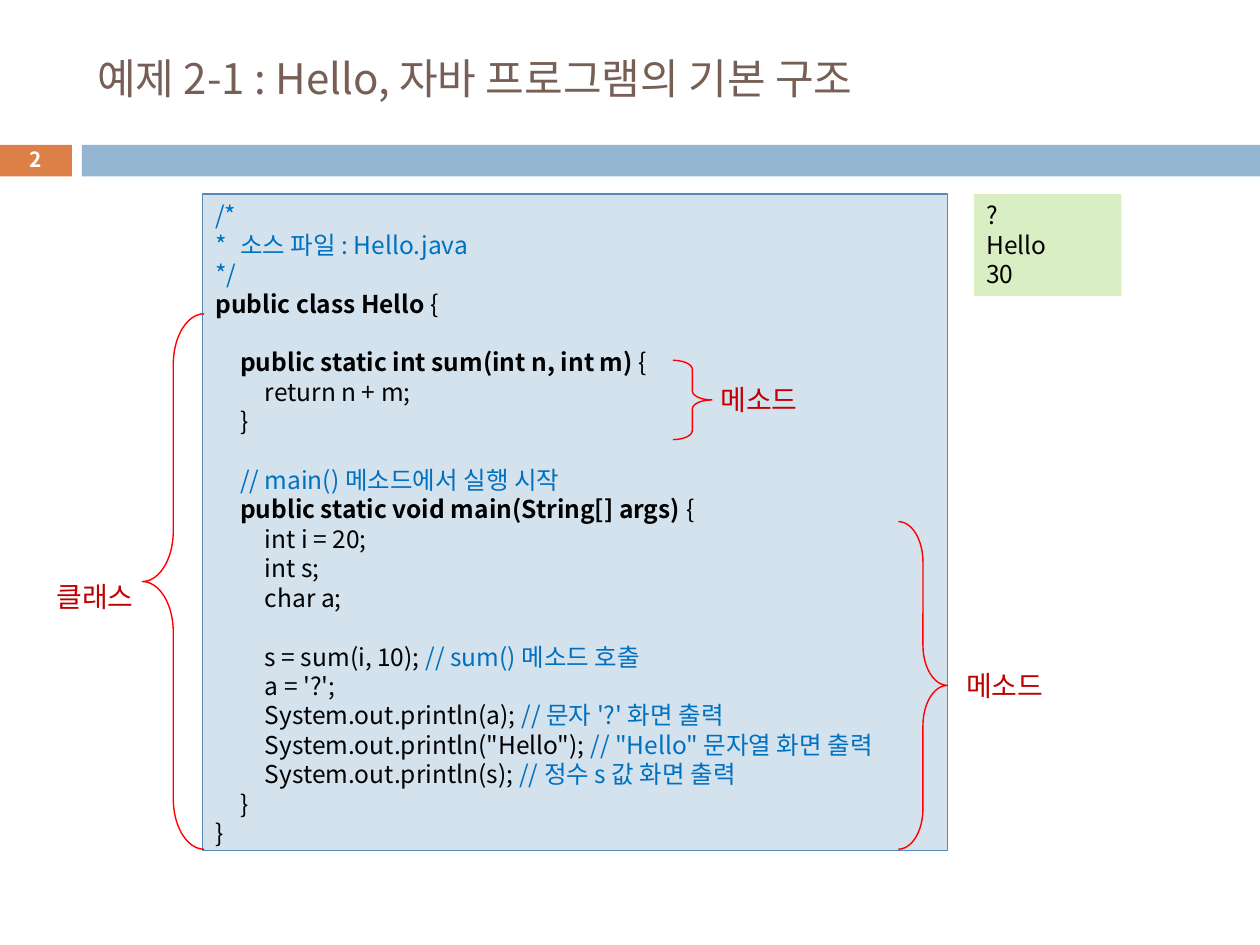
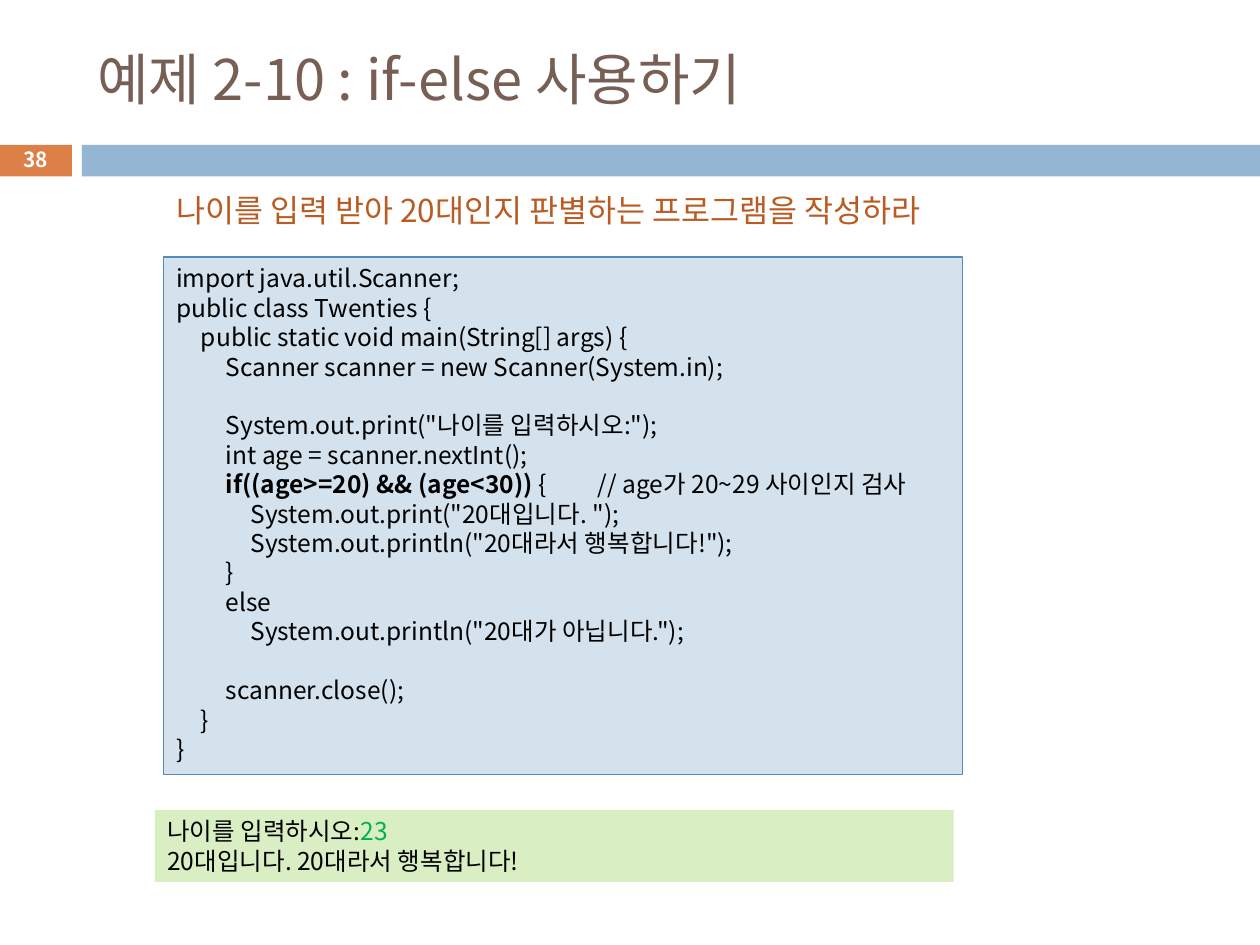
from typing import NamedTuple

from lxml import etree
from pptx import Presentation
from pptx import util as u
from pptx.dml.color import RGBColor
from pptx.enum import shapes, text
from pptx.oxml.ns import qn

FONT = "Noto Sans CJK KR"
COLORS = {
    "title": "775F55", "number_band": "DD8047", "band": "94B6D2",
    "code_fill": "D4E2ED", "code_edge": "558BB8", "result_fill": "DAEEC4",
    "black": "000000", "white": "FFFFFF", "comment": "0070C0",
    "label": "C00000", "brace": "FF0000", "task": "B95B22", "input": "00B050",
}
WIDTH, HEIGHT = u.Inches(10), u.Inches(7.5)
COLUMN, ROW = WIDTH / 100, HEIGHT / 75
TAB_STEP, TAB_COUNT = u.Mm(5), 17
LINE_HEIGHT = 1.2
CODE_SIZE = 14


class Area(NamedTuple):
    column: float
    row: float
    columns: float
    rows: float

    def place(self) -> tuple[int, int, int, int]:
        return (round(self.column * COLUMN), round(self.row * ROW),
                round(self.columns * COLUMN), round(self.rows * ROW))


class Span(NamedTuple):
    words: str
    color: str = "black"
    bold: bool = False


class Line(NamedTuple):
    spans: tuple[Span, ...]
    gap: bool = False


class Panel(NamedTuple):
    area: Area
    lines: list[Line]
    fill: str
    edge: str | None = None


class Label(NamedTuple):
    area: Area
    words: str
    color: str = "label"
    size: float = 16


class Brace(NamedTuple):
    area: Area
    curve: float
    rotation: float = 0


class Page(NamedTuple):
    number: str
    title: str
    title_size: float
    panels: list[Panel]
    labels: list[Label]
    braces: list[Brace]


def line(*spans: str | Span, gap: bool = False) -> Line:
    return Line(tuple(Span(s) if isinstance(s, str) else s for s in spans), gap)


def strong(words: str) -> Span:
    return Span(words, bold=True)


def remark(words: str) -> Span:
    return Span(words, "comment")


def rgb(name: str) -> RGBColor:
    return RGBColor.from_string(COLORS[name])


def format_paragraph(para, size: float, color: str, bold: bool = False) -> None:
    font = para.font
    font.name, font.size, font.bold = FONT, u.Pt(size), bold
    font.color.rgb = rgb(color)
    defaults = para._p.pPr.find(qn("a:defRPr"))
    etree.SubElement(defaults, qn("a:ea")).set("typeface", FONT)


def add_tabs(para) -> None:
    tabs = etree.SubElement(para._p.get_or_add_pPr(), qn("a:tabLst"))
    for step in range(1, TAB_COUNT + 1):
        tab = etree.SubElement(tabs, qn("a:tab"))
        tab.set("pos", str(step * TAB_STEP))
        tab.set("algn", "l")


def write_lines(frame, lines: list[Line]) -> None:
    for index, entry in enumerate(lines):
        para = frame.add_paragraph() if index else frame.paragraphs[0]
        add_tabs(para)
        para.alignment = text.PP_ALIGN.LEFT
        if entry.gap:
            para.space_before = u.Pt(CODE_SIZE * LINE_HEIGHT)
        first = entry.spans[0]
        format_paragraph(para, CODE_SIZE, first.color, first.bold)
        for span in entry.spans:
            run = para.add_run()
            run.text = span.words
            if span.bold != first.bold:
                run.font.bold = span.bold
            if span.color != first.color:
                run.font.color.rgb = rgb(span.color)


def add_block(slide, area: Area, fill: str, edge: str | None = None):
    box = slide.shapes.add_shape(shapes.MSO_SHAPE.RECTANGLE, *area.place())
    box.shadow.inherit = False
    box.fill.solid()
    box.fill.fore_color.rgb = rgb(fill)
    if edge:
        box.line.color.rgb = rgb(edge)
        box.line.width = u.Pt(0.75)
    else:
        box.line.fill.background()
    return box


def add_panel(slide, panel: Panel) -> None:
    frame = add_block(slide, panel.area, panel.fill, panel.edge).text_frame
    frame.word_wrap = True
    frame.vertical_anchor = text.MSO_ANCHOR.TOP
    write_lines(frame, panel.lines)


def add_label(slide, label: Label):
    box = slide.shapes.add_textbox(*label.area.place())
    box.text_frame.word_wrap = False
    para = box.text_frame.paragraphs[0]
    para.text = label.words
    format_paragraph(para, label.size, label.color)
    return box


def add_brace(slide, brace: Brace) -> None:
    shape = slide.shapes.add_shape(shapes.MSO_SHAPE.RIGHT_BRACE, *brace.area.place())
    shape.shadow.inherit = False
    shape.fill.background()
    shape.line.color.rgb = rgb("brace")
    shape.line.width = u.Pt(0.79)
    shape.adjustments[0] = brace.curve
    shape.rotation = brace.rotation


def add_frame(slide, page: Page) -> None:
    add_block(slide, Area(-0.1, 11.5, 5.8, 2.5), "number_band")
    add_block(slide, Area(6.5, 11.5, 93.5, 2.5), "band")
    title = slide.shapes.title
    title.left, title.top, title.width, title.height = Area(6.7, 2.5, 89.2, 7.4).place()
    title.text_frame.text = page.title
    title.text_frame.vertical_anchor = text.MSO_ANCHOR.MIDDLE
    para = title.text_frame.paragraphs[0]
    para.alignment = text.PP_ALIGN.LEFT
    format_paragraph(para, page.title_size, "title")
    number = add_label(slide, Label(Area(-0.1, 11.3, 5.8, 2.7), page.number, "white", 11.9))
    number.text_frame.word_wrap = True
    number.text_frame.vertical_anchor = text.MSO_ANCHOR.MIDDLE
    number.text_frame.paragraphs[0].alignment = text.PP_ALIGN.CENTER
    number.text_frame.paragraphs[0].font.bold = True


def add_page(deck, page: Page) -> None:
    slide = deck.slides.add_slide(deck.slide_layouts[5])
    add_frame(slide, page)
    for panel in page.panels:
        add_panel(slide, panel)
    for label in page.labels:
        add_label(slide, label)
    for brace in page.braces:
        add_brace(slide, brace)


HELLO_CODE = [
    line(remark("/*")),
    line(remark("*\t소스 파일 : Hello.java")),
    line(remark("*/")),
    line(strong("public class Hello "), "{"),
    line("\t", strong("public static int sum(int n, int m) "), "{", gap=True),
    line("\t\treturn n + m;"),
    line("\t}"),
    line("\t", remark("// main() 메소드에서 실행 시작"), gap=True),
    line("\t", strong("public static void main(String[] args) "), "{"),
    line("\t\tint i = 20;"),
    line("\t\tint s;"),
    line("\t\tchar a;"),
    line("\t\ts = sum(i, 10); ", remark("// sum() 메소드 호출"), gap=True),
    line("\t\ta = '?';"),
    line("\t\tSystem.out.println(a); ", remark("// 문자 '?' 화면 출력")),
    line("\t\tSystem.out.println(\"Hello\"); ", remark("// \"Hello\" 문자열 화면 출력")),
    line("\t\tSystem.out.println(s); ", remark("// 정수 s 값 화면 출력")),
    line("\t}"),
    line("}"),
]

TWENTIES_CODE = [
    line("import java.util.Scanner;"),
    line("public class Twenties {"),
    line("\tpublic static void main(String[] args) {"),
    line("\t\tScanner scanner = new Scanner(System.in);"),
    line("\t\tSystem.out.print(\"나이를 입력하시오:\");", gap=True),
    line("\t\tint age = scanner.nextInt();"),
    line("\t\t", strong("if((age>=20) && (age<30))"), " { \t\t// age가 20~29 사이인지 검사"),
    line("\t\t\tSystem.out.print(\"20대입니다. \");"),
    line("\t\t\tSystem.out.println(\"20대라서 행복합니다!\");"),
    line("\t\t}"),
    line("\t\telse"),
    line("\t\t\tSystem.out.println(\"20대가 아닙니다.\");"),
    line("\t\tscanner.close();", gap=True),
    line("\t}"),
    line("}"),
]

PAGES = [
    Page(
        "2", "예제 2-1 : Hello, 자바 프로그램의 기본 구조", 24,
        [Panel(Area(16.1, 15.4, 59.1, 52.1), HELLO_CODE, "code_fill", "code_edge"),
         Panel(Area(77.3, 15.4, 11.7, 8.1), [line("?"), line("Hello"), line("30")],
               "result_fill")],
        [Label(Area(56.2, 29.9, 8.8, 3.7), "메소드"),
         Label(Area(75.7, 52.6, 8.8, 3.7), "메소드"),
         Label(Area(3.5, 45.5, 9.5, 3.7), "클래스")],
        [Brace(Area(53.4, 28.6, 3.1, 6.3), 0.23),
         Brace(Area(71.3, 41.4, 3.9, 26), 0.82),
         Brace(Area(11.3, 24.9, 4.9, 42.5), 0.82, 180)],
    ),
    Page(
        "38", "예제 2-10 : if-else 사용하기", 32,
        [Panel(Area(13, 20.4, 63.4, 41.1), TWENTIES_CODE, "code_fill", "code_edge"),
         Panel(Area(12.3, 64.3, 63.4, 5.7),
               [line("나이를 입력하시오:", Span("23", "input")),
                line("20대입니다. 20대라서 행복합니다!")], "result_fill")],
        [Label(Area(13, 14.7, 67.3, 4), "나이를 입력 받아 20대인지 판별하는 프로그램을 작성하라",
               "task", 18)],
        [],
    ),
]


def main() -> None:
    deck = Presentation()
    deck.slide_width, deck.slide_height = WIDTH, HEIGHT
    for page in PAGES:
        add_page(deck, page)
    deck.save("out.pptx")


if __name__ == "__main__":
    main()
